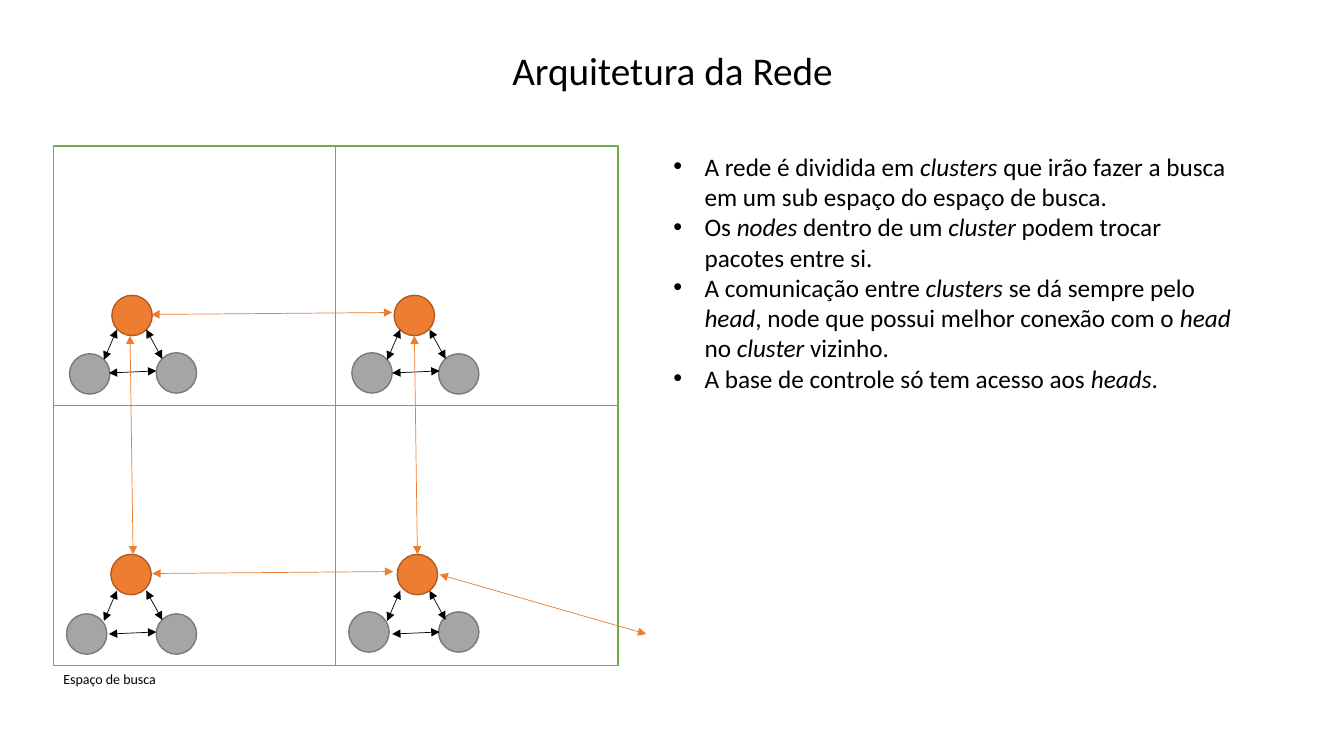
from itertools import product

from lxml import etree
from pptx import Presentation, util as u
from pptx.dml.color import RGBColor
from pptx.enum import shapes, text
from pptx.oxml.ns import qn

# Content: text between asterisks is italic
TITLE = "Arquitetura da Rede"
CAPTION = "Espaço de busca"
BULLETS = [
    "A rede é dividida em *clusters *que irão fazer a busca em um sub espaço do espaço de busca.",
    "Os *nodes *dentro de um *cluster *podem trocar pacotes entre si.",
    "A comunicação entre *clusters* se dá sempre pelo *head*, node que possui melhor "
    "conexão com o *head* no *cluster *vizinho.",
    "A base de controle só tem acesso aos *heads*.",
]
FONT = "Calibri"
COLORS = {
    "text": "000000", "paper": "FFFFFF", "border": "70AD47",
    "node": "A5A5A5", "node_edge": "7A7A7A",
    "head": "ED7D31", "head_edge": "AF5C24",
}

# Geometry in inches
FRAME = (0.53, 1.45, 5.6, 5.15)
DIAMETER = 0.4
NODES = [(0.69, 3.51), (1.55, 3.5), (3.49, 3.5), (4.35, 3.51),
         (0.66, 6.09), (1.55, 6.09), (3.46, 6.07), (4.35, 6.07)]
HEADS = [(1.11, 2.93), (3.91, 2.93), (1.1, 5.5), (3.94, 5.5)]
CLUSTER_STEP = (2.81, 2.59)
CLUSTER_LINKS = [  # links of the top left cluster, repeated in the others
    ((1.45, 3.27), (1.61, 3.56)),
    ((1.08, 3.7), (1.55, 3.68)),
    ((1.03, 3.57), (1.16, 3.27)),
]
HEAD_LINKS = [
    ((4.36, 5.7), (6.41, 6.29)),  # towards the control base
    ((1.51, 5.69), (3.9, 5.67)),
    ((1.5, 3.12), (3.89, 3.1)),
    ((4.14, 5.5), (4.11, 3.33)),
    ((1.32, 5.5), (1.29, 3.33)),
]

deck = Presentation()
deck.slide_width, deck.slide_height = u.Inches(13.33), u.Inches(7.5)
page = deck.slides.add_slide(deck.slide_layouts[6])


def color(name):
    return RGBColor.from_string(COLORS[name])


def add_shape(kind, area, fill, edge):
    shape = page.shapes.add_shape(kind, *map(u.Inches, area))
    shape.shadow.inherit = False
    shape.fill.solid()
    shape.fill.fore_color.rgb = color(fill)
    shape.line.color.rgb = color(edge)
    shape.line.width = u.Pt(1)
    return shape


def add_line(start, end, name, arrows=False):
    line = page.shapes.add_connector(
        shapes.MSO_CONNECTOR.STRAIGHT, *map(u.Inches, (*start, *end)))
    line.line.color.rgb = color(name)
    line.line.width = u.Pt(0.5)
    properties = line._element.spPr
    if arrows:
        for tag in ("a:headEnd", "a:tailEnd"):
            etree.SubElement(properties.find(qn("a:ln")), qn(tag), type="triangle")
    etree.SubElement(properties, qn("a:effectLst"))
    return line


def add_text(area, lines, size, wrap=True):
    box = page.shapes.add_textbox(*map(u.Inches, area))
    frame = box.text_frame
    frame.word_wrap = wrap
    for index, line in enumerate(lines):
        para = frame.paragraphs[0] if index == 0 else frame.add_paragraph()
        for part, words in enumerate(line.split("*")):
            span = para.add_run()
            span.text = words
            span.font.name = FONT
            span.font.size = u.Pt(size)
            span.font.italic = part % 2 == 1
            span.font.color.rgb = color("text")
    return frame


# Title
title = add_text((0.92, 0, 11.5, 1.45), [TITLE], 28)
title.vertical_anchor = text.MSO_ANCHOR.MIDDLE
title.paragraphs[0].alignment = text.PP_ALIGN.CENTER
title.paragraphs[0].line_spacing = 0.9

# Search space, split in four
left, top, width, height = FRAME
space = add_shape(shapes.MSO_SHAPE.RECTANGLE, FRAME, "paper", "border")
add_text((left, top + height, 1.13, 0.27), [CAPTION], 10, wrap=False)
middle_x, middle_y = left + width / 2, top + height / 2
for start, end, sides in [
    ((left, middle_y), (left + width, middle_y), (1, 3)),
    ((middle_x, top), (middle_x, top + height), (0, 2)),
]:
    divider = add_line(start, end, "border")
    divider.begin_connect(space, sides[0])
    divider.end_connect(space, sides[1])

# Nodes and cluster heads
for places, role in ((NODES, "node"), (HEADS, "head")):
    for place in places:
        add_shape(shapes.MSO_SHAPE.OVAL, (*place, DIAMETER, DIAMETER), role, role + "_edge")

# Links inside each cluster, then between heads
for row, column in product(range(2), repeat=2):
    dx, dy = column * CLUSTER_STEP[0], row * CLUSTER_STEP[1]
    for start, end in CLUSTER_LINKS:
        add_line((start[0] + dx, start[1] + dy), (end[0] + dx, end[1] + dy), "text", arrows=True)
for start, end in HEAD_LINKS:
    add_line(start, end, "head", arrows=True)

# Bulleted explanation
notes = add_text((6.58, 1.45, 5.83, 2.52), BULLETS, 18)
for para in notes.paragraphs:
    properties = para._p.get_or_add_pPr()
    properties.set("marL", str(u.Inches(0.31)))
    properties.set("indent", str(-u.Inches(0.31)))
    etree.SubElement(properties, qn("a:buFont"), typeface="Arial")
    etree.SubElement(properties, qn("a:buChar"), char="•")

deck.save("out.pptx")
